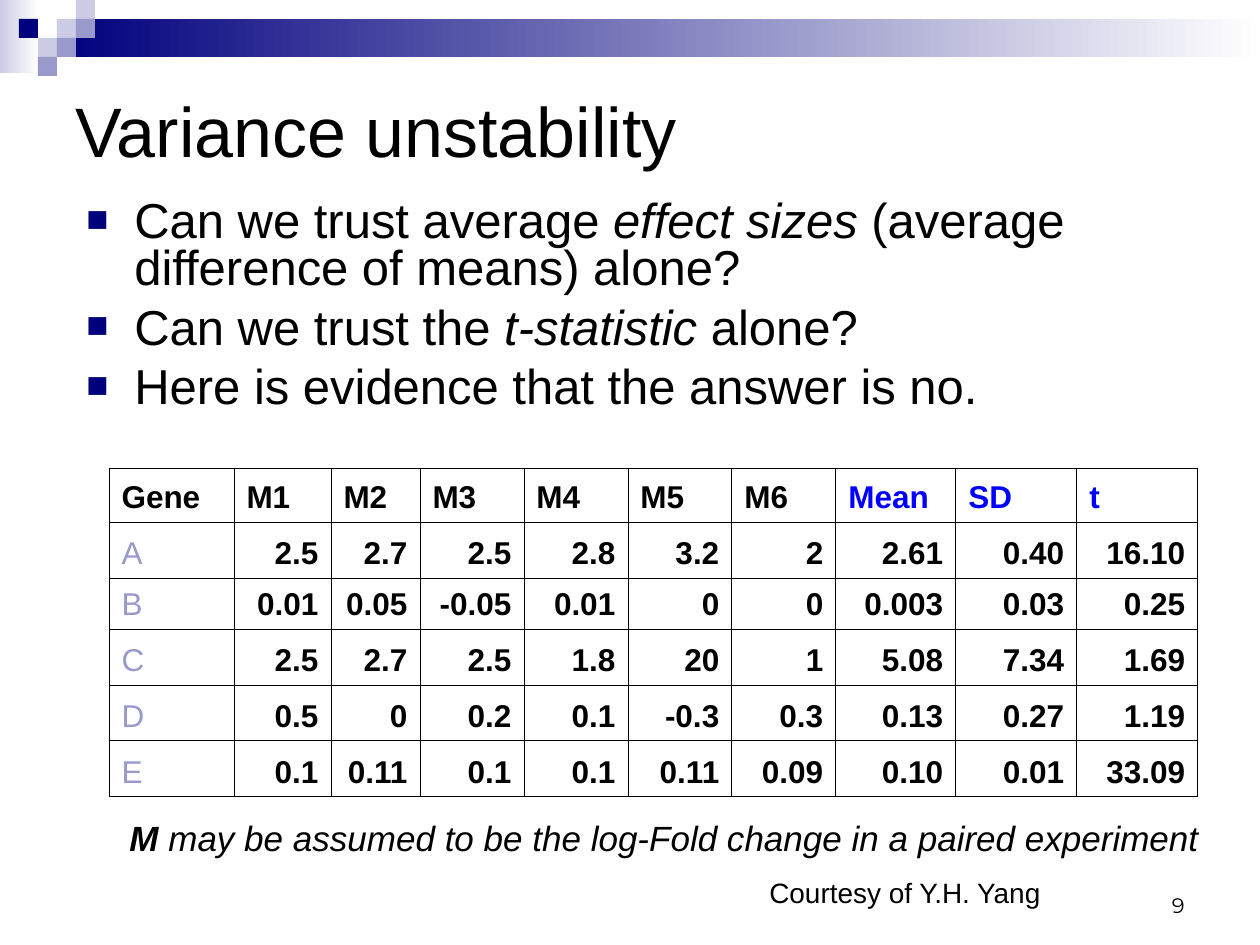
from lxml import etree
from pptx import Presentation, util as u
from pptx.dml.color import RGBColor
from pptx.enum import shapes, text
from pptx.oxml.ns import qn

THEME = {
    "ink": "000000", "navy": "00007D", "violet": "9999CC", "pale": "CCCCE6",
    "white": "FFFFFF", "blue": "0000FF", "font": "Arial", "number_font": "Montserrat",
    "title": 40, "body": 28, "note": 20, "cell": 18, "credit": 16, "number": 12,
    "border": 0.45,
}
LEFT, RIGHT = text.PP_ALIGN.LEFT, text.PP_ALIGN.RIGHT
TOP, MIDDLE, BOTTOM = text.MSO_ANCHOR.TOP, text.MSO_ANCHOR.MIDDLE, text.MSO_ANCHOR.BOTTOM

BULLETS = [
    [("Can we trust average ", {}), ("effect sizes ", {"italic": True}),
     ("(average difference of means) alone?", {})],
    [("Can we trust the ", {}), ("t-statistic", {"italic": True}), (" alone?", {})],
    [("Here is evidence that the answer is no.", {})],
]
TEXTS = [
    {"at": (903, 861, 294, 63), "size": "number", "font": "number_font", "align": RIGHT,
     "anchor": BOTTOM, "wrap": True, "paras": [[("9", {})]]},
    {"at": (63, 63, 1134, 132), "size": "title", "anchor": MIDDLE, "wrap": True,
     "paras": [[("Variance unstability", {})]]},
    {"at": (74, 195, 1148, 248), "size": "body", "wrap": True, "bullets": True,
     "paras": BULLETS},
    {"at": (117, 810, 1095, 55), "size": "note",
     "paras": [[("M", {"bold": True, "italic": True}),
                (" may be assumed to be the log-Fold change in a paired experiment",
                 {"italic": True})]]},
    {"at": (757, 869, 302, 47), "size": "credit",
     "paras": [[("Courtesy of Y.H. Yang", {})]]},
]
GENES = [
    ("Gene", "M1", "M2", "M3", "M4", "M5", "M6", "Mean", "SD", "t"),
    ("A", "2.5", "2.7", "2.5", "2.8", "3.2", "2", "2.61", "0.40", "16.10"),
    ("B", "0.01", "0.05", "-0.05", "0.01", "0", "0", "0.003", "0.03", "0.25"),
    ("C", "2.5", "2.7", "2.5", "1.8", "20", "1", "5.08", "7.34", "1.69"),
    ("D", "0.5", "0", "0.2", "0.1", "-0.3", "0.3", "0.13", "0.27", "1.19"),
    ("E", "0.1", "0.11", "0.1", "0.1", "0.11", "0.09", "0.10", "0.01", "33.09"),
]
TABLE_AT = (109, 468)
COLS = (125, 97, 89, 104, 104, 104, 104, 120, 121, 121)
ROWS = (54, 56, 51, 56, 56, 56)
FIRST_STAT = 7
SQUARE = 19
BANDS = [((0, 0, 39, 73), "pale"), ((57, SQUARE, 1203, 38), "navy")]
SQUARES = [(3, 1, "pale"), (4, 0, "pale"), (4, 1, "violet"), (2, 2, "pale"),
           (1, 1, "navy"), (3, 2, "violet"), (2, 3, "violet")]


def px(n):
    return round(n * 914400 / 126)


def rgb(name):
    return RGBColor.from_string(THEME[name])


def put(obj, **values):
    for name, value in values.items():
        setattr(obj, name, value)


def add_run(p, words, size, color="ink", font="font", **style):
    r = p.add_run()
    r.text = words
    put(r.font, size=u.Pt(THEME[size]), name=THEME[font], **style)
    r.font.color.rgb = rgb(color)


def add_rect(s, at, color, fade=False):
    sp = s.shapes.add_shape(shapes.MSO_SHAPE.RECTANGLE, *map(px, at))
    sp.shadow.inherit = False
    sp.line.fill.background()
    if fade:
        sp.fill.gradient()
        sp.fill.gradient_angle = 0
        for stop, name, place in zip(sp.fill.gradient_stops, (color, "white"), (0, 1)):
            stop.color.rgb = rgb(name)
            stop.position = place
    else:
        sp.fill.solid()
        sp.fill.fore_color.rgb = rgb(color)


def add_bullet(p):
    pPr = p._p.get_or_add_pPr()
    put_indent = {"marL": px(48), "indent": -px(48)}
    for name, value in put_indent.items():
        pPr.set(name, str(value))
    clr = etree.SubElement(pPr, qn("a:buClr"))
    etree.SubElement(clr, qn("a:srgbClr"), val=THEME["navy"])
    etree.SubElement(pPr, qn("a:buSzPct"), val="75000")
    etree.SubElement(pPr, qn("a:buFont"), typeface=THEME["font"])
    etree.SubElement(pPr, qn("a:buChar"), char="■")


def add_text(s, item):
    tf = s.shapes.add_textbox(*map(px, item["at"])).text_frame
    put(tf, word_wrap=item.get("wrap", False), vertical_anchor=item.get("anchor", TOP))
    for i, runs in enumerate(item["paras"]):
        p = tf.add_paragraph() if i else tf.paragraphs[0]
        p.alignment = item.get("align", LEFT)
        if item.get("bullets"):
            add_bullet(p)
            p.line_spacing = 0.8
            if i:
                p.space_before = u.Pt(7)
        for words, style in runs:
            add_run(p, words, item["size"], font=item.get("font", "font"), **style)


def add_borders(cell):
    tcPr = cell._tc.get_or_add_tcPr()
    for i, side in enumerate(("lnL", "lnR", "lnT", "lnB")):
        ln = etree.Element(qn(f"a:{side}"), w=str(u.Pt(THEME["border"])))
        fill = etree.SubElement(ln, qn("a:solidFill"))
        etree.SubElement(fill, qn("a:srgbClr"), val=THEME["ink"])
        tcPr.insert(i, ln)


def cell_color(row, col):
    if row == 0:
        return "blue" if col >= FIRST_STAT else "ink"
    return "ink" if col else "violet"


def add_genes(s):
    size = (sum(COLS), sum(ROWS))
    tbl = s.shapes.add_table(len(ROWS), len(COLS), *map(px, TABLE_AT + size)).table
    put(tbl, first_row=False, horz_banding=False)
    for col, width in zip(tbl.columns, COLS):
        col.width = px(width)
    for i, (row, height) in enumerate(zip(tbl.rows, ROWS)):
        row.height = px(height)
        for j, cell in enumerate(row.cells):
            cell.fill.background()
            cell.vertical_anchor = BOTTOM
            add_borders(cell)
            p = cell.text_frame.paragraphs[0]
            p.alignment = RIGHT if i and j else LEFT
            add_run(p, GENES[i][j], "cell", cell_color(i, j), bold=i == 0 or j > 0)


def main():
    prs = Presentation()
    put(prs, slide_width=px(1260), slide_height=px(945))
    s = prs.slides.add_slide(prs.slide_layouts[6])
    for at, color in BANDS:
        add_rect(s, at, color, fade=True)
    for col, row, color in SQUARES:
        add_rect(s, (col * SQUARE, row * SQUARE, SQUARE, SQUARE), color)
    for item in TEXTS[:3]:
        add_text(s, item)
    add_genes(s)
    for item in TEXTS[3:]:
        add_text(s, item)
    prs.save("out.pptx")


if __name__ == "__main__":
    main()
